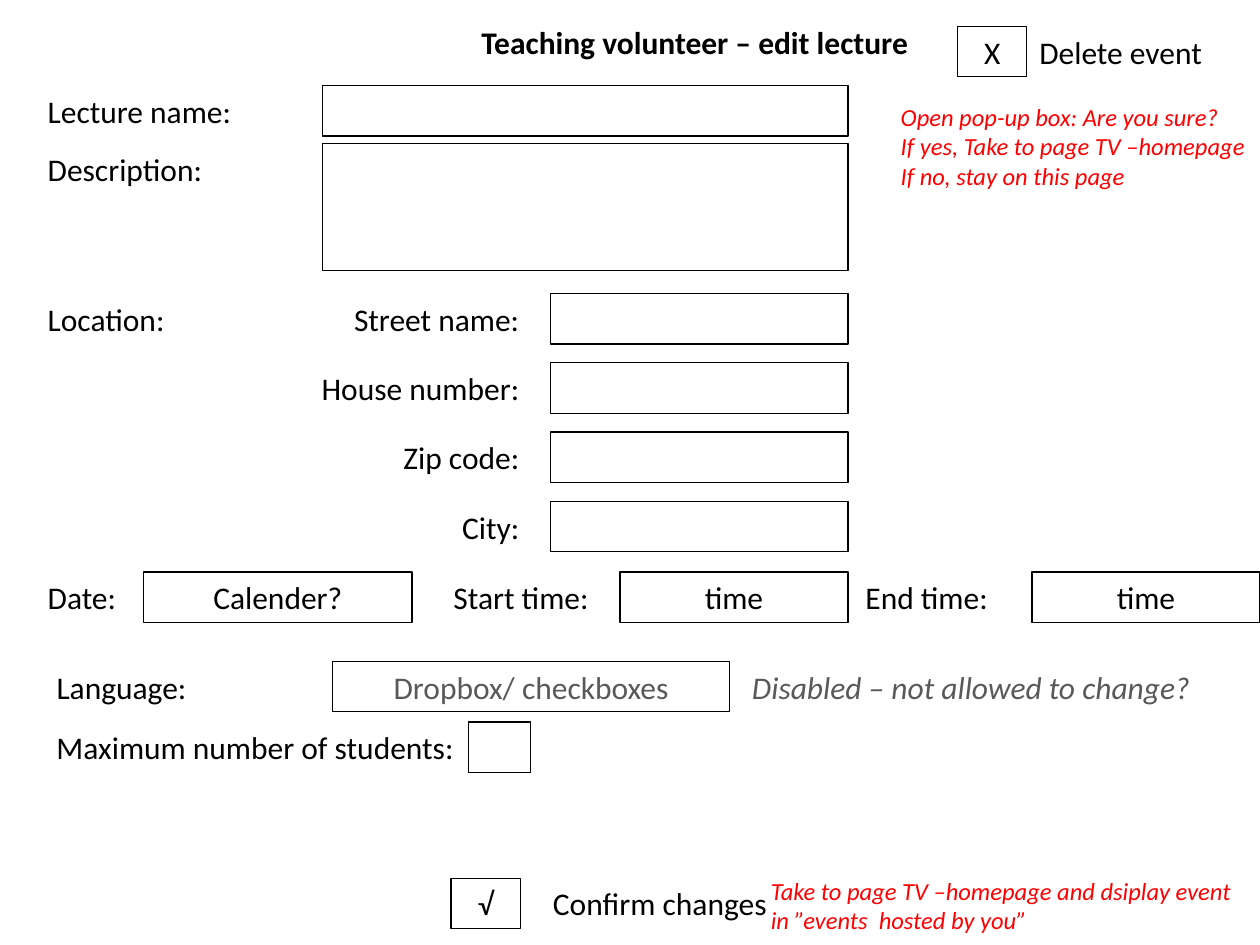
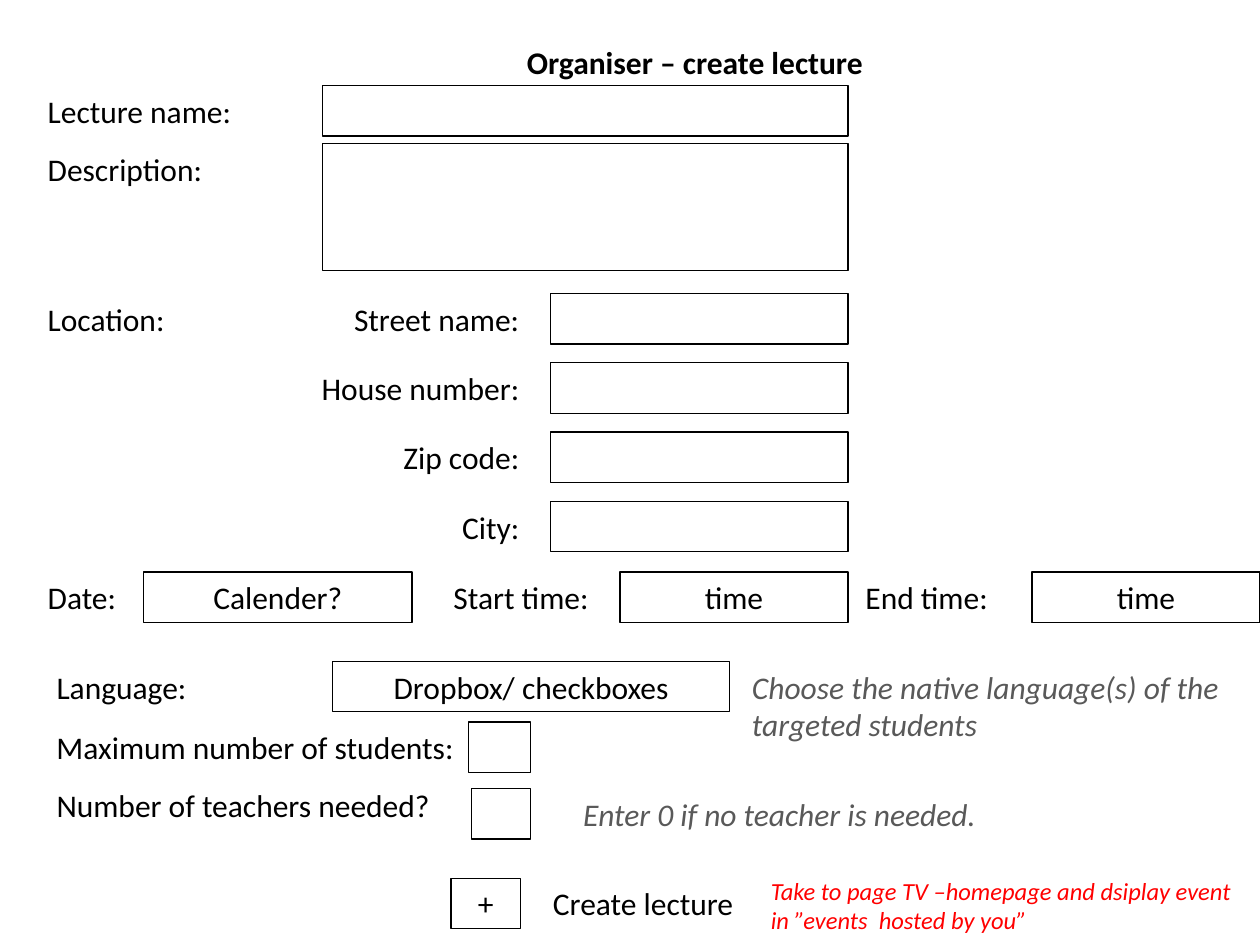
from dataclasses import dataclass

from pptx import Presentation
from pptx import util as u
from pptx.dml import color
from pptx.enum import shapes, text

# Shared look
FONT = "Calibri"
BLACK, GREY, RED = "000000", "595959", "FF0000"
LEFT, CENTER, RIGHT = text.PP_ALIGN.LEFT, text.PP_ALIGN.CENTER, text.PP_ALIGN.RIGHT

# Grid of 100 columns by 75 rows
CELL = u.Inches(0.1)
COLUMNS, ROWS = 100, 75
LINE = 4            # rows taken by one line of text or one input field
LABEL = 26.8        # columns of a normal label
INPUT_RIGHT = 67.3  # right edge shared by the main input fields


@dataclass
class Box:
    left: float
    top: float
    width: float
    height: float = LINE

    def inner(self, left, top, width, height=LINE):
        """A box placed from this box's top left corner."""
        return Box(self.left + left, self.top + top, width, height)

    def emu(self):
        return [round(n * CELL) for n in (self.left, self.top, self.width, self.height)]


def rgb(code):
    return color.RGBColor.from_string(code)


def write(holder, content, size=18, ink=BLACK, bold=False, italic=False, align=LEFT):
    frame = holder.text_frame
    frame.word_wrap = True
    for number, line in enumerate(content.split("\n")):
        para = frame.add_paragraph() if number else frame.paragraphs[0]
        para.alignment = align
        span = para.add_run()
        span.text = line
        font = span.font
        font.name, font.size, font.bold, font.italic = FONT, u.Pt(size), bold, italic
        font.color.rgb = rgb(ink)


def add_label(page, box, content, **style):
    write(page.shapes.add_textbox(*box.emu()), content, **style)


def add_note(page, box, content):
    add_label(page, box, content, size=14, ink=RED, italic=True)


def add_hint(page, box, content):
    add_label(page, box, content, ink=GREY, italic=True)


def add_field(page, box, content="", ink=BLACK):
    field = page.shapes.add_shape(shapes.MSO_SHAPE.RECTANGLE, *box.emu())
    field.shadow.inherit = False
    field.fill.background()
    field.line.color.rgb = rgb(BLACK)
    field.line.width = u.Pt(0.75)
    field.text_frame.vertical_anchor = text.MSO_ANCHOR.MIDDLE
    if content:
        write(field, content, ink=ink, align=CENTER)


# Regions of the form
def lecture_region(page, box):
    field_left = 22.8
    field_width = box.width - field_left
    for name, top, height in (("Lecture name:", 0, LINE), ("Description:", 4.6, 10.1)):
        add_field(page, box.inner(field_left, top, field_width, height))
        add_label(page, box.inner(0, top, LABEL), name)


def location_region(page, box):
    field_width = 23.6
    add_label(page, box.inner(0, 0, LABEL), "Location:")
    names = ("Street name:", "House number:", "Zip code:", "City:")
    pitch = (box.height - LINE) / (len(names) - 1)
    for row, name in enumerate(names):
        add_field(page, box.inner(box.width - field_width, row * pitch, field_width))
        add_label(page, box.inner(12.6, row * pitch, LABEL), name, align=RIGHT)


def schedule_region(page, box):
    entries = (("Date:", 0, "Calender?", 8.6, 21.3),
               ("Start time:", 32.2, "time", 46.4, 18.1),
               ("End time:", 64.9, "time", 79.1, 18.1))
    for name, label_left, value, field_left, field_width in entries:
        add_field(page, box.inner(field_left, 0, field_width), value)
        add_label(page, box.inner(label_left, 0, LABEL), name)


def students_region(page, box, hint, hint_lines=1, ink=BLACK, ask_teachers=False):
    # Language
    add_field(page, box.inner(22.9, 0, 31.5), "Dropbox/ checkboxes", ink=ink)
    add_label(page, box.inner(0, 0, LABEL), "Language:")
    add_hint(page, box.inner(55.2, 0, 41.3, 1 + 3 * hint_lines), hint)
    # Head counts
    add_label(page, box.inner(0, 4.8, 37), "Maximum number of students:")
    add_field(page, box.inner(33.7, 4.8, 4.9))
    if ask_teachers:
        add_label(page, box.inner(0, 9.4, 33.1), "Number of teachers needed?")
        add_field(page, box.inner(33.9, 10.1, 4.7))
        add_hint(page, box.inner(41.8, 10.1, 48.8), "Enter 0 if no teacher is needed.")


def button(page, box, sign, caption, gap=0):
    width = 5.5
    add_field(page, box.inner(0, 0, width), sign)
    add_label(page, box.inner(width + gap, 0, LABEL), caption)


def action_region(page, box, sign, caption):
    button(page, box.inner(0, 0.7, box.width), sign, caption, gap=1.6)
    add_note(page, box.inner(24.4, 0, 39.4, box.height),
             "Take to page TV –homepage and dsiplay event in ”events  hosted by you”")


def delete_region(page, box):
    button(page, box.inner(5.5, 0, box.width), "X", "Delete event")
    add_note(page, box.inner(0, 5.5, 55.1, 8.1),
             "Open pop-up box: Are you sure?\n"
             "If yes, Take to page TV –homepage\n"
             "If no, stay on this page")


def lecture_form(deck, title, title_top, sign, caption, **students):
    page = deck.slides.add_slide(deck.slide_layouts[6])
    margin = 2.8
    width = INPUT_RIGHT - margin
    add_label(page, Box(21.7, title_top, 66.9), title, bold=True, align=CENTER)
    lecture_region(page, Box(margin, 6.8, width))
    location_region(page, Box(margin, 23.3, width, 20.5))
    schedule_region(page, Box(margin, 45.4, COLUMNS - margin))
    students_region(page, Box(3.5, 52.5, COLUMNS - 3.5), **students)
    action_region(page, Box(35.8, 69, 63.8, 5.7), sign, caption)
    return page


deck = Presentation()
deck.slide_width, deck.slide_height = COLUMNS * CELL, ROWS * CELL

# Edit form
edit_page = lecture_form(deck, "Teaching volunteer – edit lecture", 1.3,
                         "√", "Confirm changes",
                         hint="Disabled – not allowed to change?", ink=GREY)
delete_region(edit_page, Box(70.5, 2.1, 29.5))

# Create form
lecture_form(deck, "Organiser – create lecture", 2.9, "+", "Create lecture",
             hint="Choose the native language(s) of the targeted students",
             hint_lines=2, ask_teachers=True)

deck.save("out.pptx")
